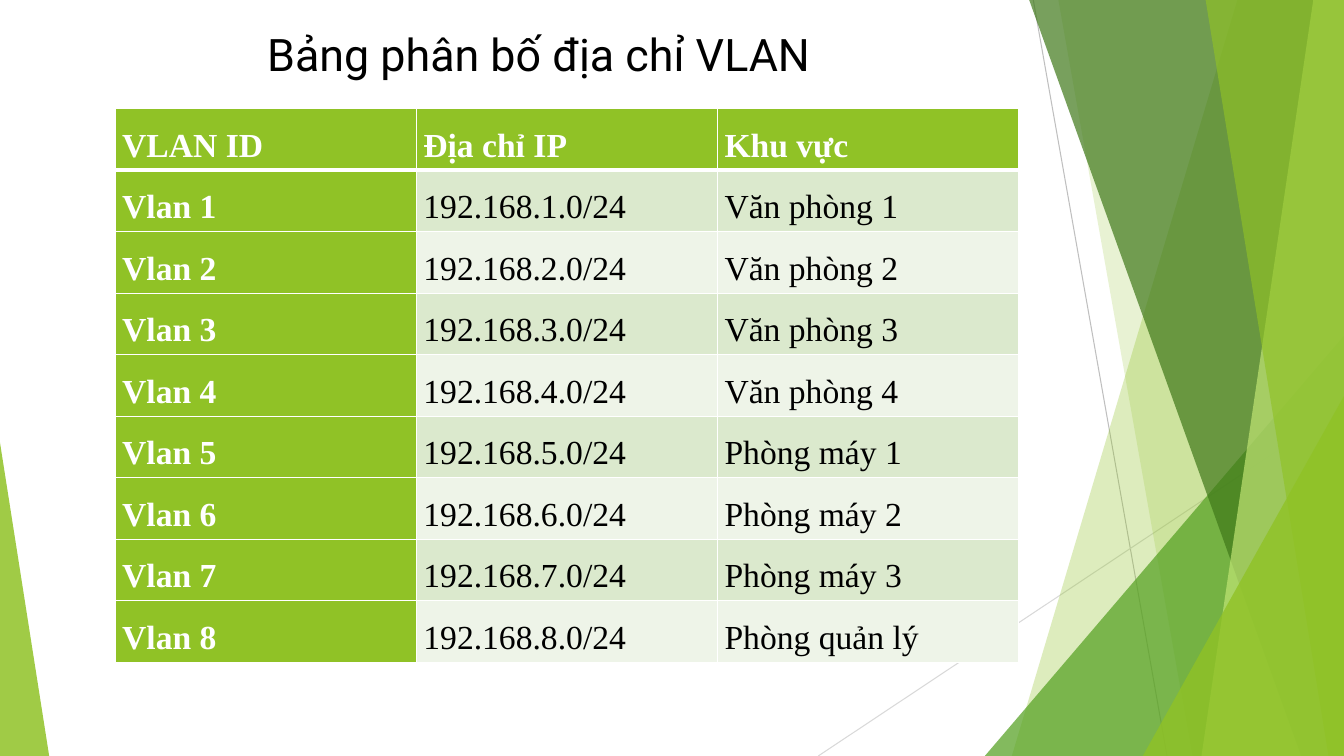
import pptx
import pptx.util
import pptx.dml.color
import pptx.enum.shapes
import pptx.enum.text
import pptx.oxml.ns
import lxml.etree

Cm, Pt = pptx.util.Cm, pptx.util.Pt
qn = pptx.oxml.ns.qn
RGB = pptx.dml.color.RGBColor.from_string

COLORS = {
    "lime": "90C226",
    "green": "54A021",
    "forest": "3F7819",
    "pale lime": "C0E474",
    "odd row": "DBE9CD",
    "even row": "EEF4E8",
    "steep line": "BFBFBF",
    "shallow line": "D9D9D9",
    "white": "FFFFFF",
    "black": "000000",
}
WIDTH, HEIGHT = 33.87, 19.05


def paint(facet, color, opacity):
    facet.shadow.inherit = False
    facet.line.fill.background()
    facet.fill.solid()
    facet.fill.fore_color.rgb = RGB(COLORS[color])
    srgb = facet.element.spPr.find(qn("a:solidFill")).find(qn("a:srgbClr"))
    lxml.etree.SubElement(srgb, qn("a:alpha"), val=str(opacity * 1000))


deck = pptx.Presentation()
deck.slide_width, deck.slide_height = Cm(WIDTH), Cm(HEIGHT)
slide = deck.slides.add_slide(deck.slide_layouts[5])
shapes = slide.shapes

for x1, y1, x2, y2, color in [
    (26.04, 0, 29.41, HEIGHT, "steep line"),
    (WIDTH, 10.24, 20.62, HEIGHT, "shallow line"),
]:
    ray = shapes.add_connector(
        pptx.enum.shapes.MSO_CONNECTOR.STRAIGHT, Cm(x1), Cm(y1), Cm(x2), Cm(y2)
    )
    ray.line.color.rgb = RGB(COLORS[color])
    ray.line.width = Pt(0.75)
    lxml.etree.SubElement(ray.element.spPr, qn("a:effectLst"))

facets = [
    ("band", (31.19, 25.5), "lime", 30),
    ("band", (26.67, 30.05), "lime", 20),
    ("triangle", (24.82, 8.46, 9.05, 1), "green", 72),
    ("band", (25.93, 32.79), "forest", 70),
    ("band", (33.1, 30.28), "pale lime", 70),
    ("band", (30.38, 33.48), "lime", 65),
    ("triangle", (28.8, 9.98, 5.07, 1), "lime", 80),
    ("triangle", (0, 11.15, 1.24, 0), "lime", 85),
]
for kind, geometry, color, opacity in facets:
    if kind == "band":
        top_x, bottom_x = geometry
        outline = shapes.build_freeform(Cm(top_x), Cm(-0.02))
        corners = [(WIDTH, -0.02), (WIDTH, HEIGHT), (bottom_x, HEIGHT)]
        outline.add_line_segments([(Cm(x), Cm(y)) for x, y in corners], close=True)
        facet = outline.convert_to_shape()
    else:
        left, top, width, apex = geometry
        facet = shapes.add_shape(
            pptx.enum.shapes.MSO_SHAPE.ISOSCELES_TRIANGLE,
            Cm(left), Cm(top), Cm(width), Cm(HEIGHT - top),
        )
        facet.adjustments[0] = apex
    paint(facet, color, opacity)

heading = shapes.title
shapes.element.append(heading.element)
heading.left, heading.top = Cm(6.48), Cm(0.53)
heading.width, heading.height = Cm(19.74), Cm(1.63)
heading.text_frame.text = "Bảng phân bố địa chỉ VLAN"
heading.text_frame.word_wrap = True
heading_line = heading.text_frame.paragraphs[0]
heading_line.alignment = pptx.enum.text.PP_ALIGN.LEFT
heading_font = heading_line.runs[0].font
heading_font.name, heading_font.size = "Roboto", Pt(32)
heading_font.color.rgb = RGB(COLORS["black"])

areas = [f"Văn phòng {n}" for n in range(1, 5)]
areas += [f"Phòng máy {n}" for n in range(1, 4)]
areas.append("Phòng quản lý")
vlan_rows = [("VLAN ID", "Địa chỉ IP", "Khu vực")]
vlan_rows += [(f"Vlan {n}", f"192.168.{n}.0/24", area) for n, area in enumerate(areas, 1)]

vlan_table = shapes.add_table(
    len(vlan_rows), 3, Cm(2.9), Cm(2.74), Cm(7.59 * 3), Cm(1.55 * len(vlan_rows))
).table
vlan_table.first_col = True
for column in vlan_table.columns:
    column.width = Cm(7.59)

for r, vlan_row in enumerate(vlan_rows):
    vlan_table.rows[r].height = Cm(1.55)
    for c, wording in enumerate(vlan_row):
        is_header = r == 0 or c == 0
        cell = vlan_table.cell(r, c)
        cell.margin_left = cell.margin_right = Cm(0.18)
        cell.margin_top = cell.margin_bottom = 0
        borders = {"L": 1, "R": 1, "T": 3 if r == 1 else 1, "B": 3 if r == 0 else 1}
        for side, points in borders.items():
            border = lxml.etree.SubElement(
                cell._tc.get_or_add_tcPr(), qn(f"a:ln{side}"), w=str(Pt(points))
            )
            border_fill = lxml.etree.SubElement(border, qn("a:solidFill"))
            lxml.etree.SubElement(border_fill, qn("a:srgbClr"), val=COLORS["white"])
        band_color = "lime" if is_header else "odd row" if r % 2 else "even row"
        cell.fill.solid()
        cell.fill.fore_color.rgb = RGB(COLORS[band_color])
        cell.text_frame.text = wording
        paragraph = cell.text_frame.paragraphs[0]
        paragraph.line_spacing = 1.5
        font = paragraph.runs[0].font
        font.name, font.size, font.bold = "Times New Roman", Pt(24), is_header
        font.color.rgb = RGB(COLORS["white" if is_header else "black"])

deck.save("out.pptx")
